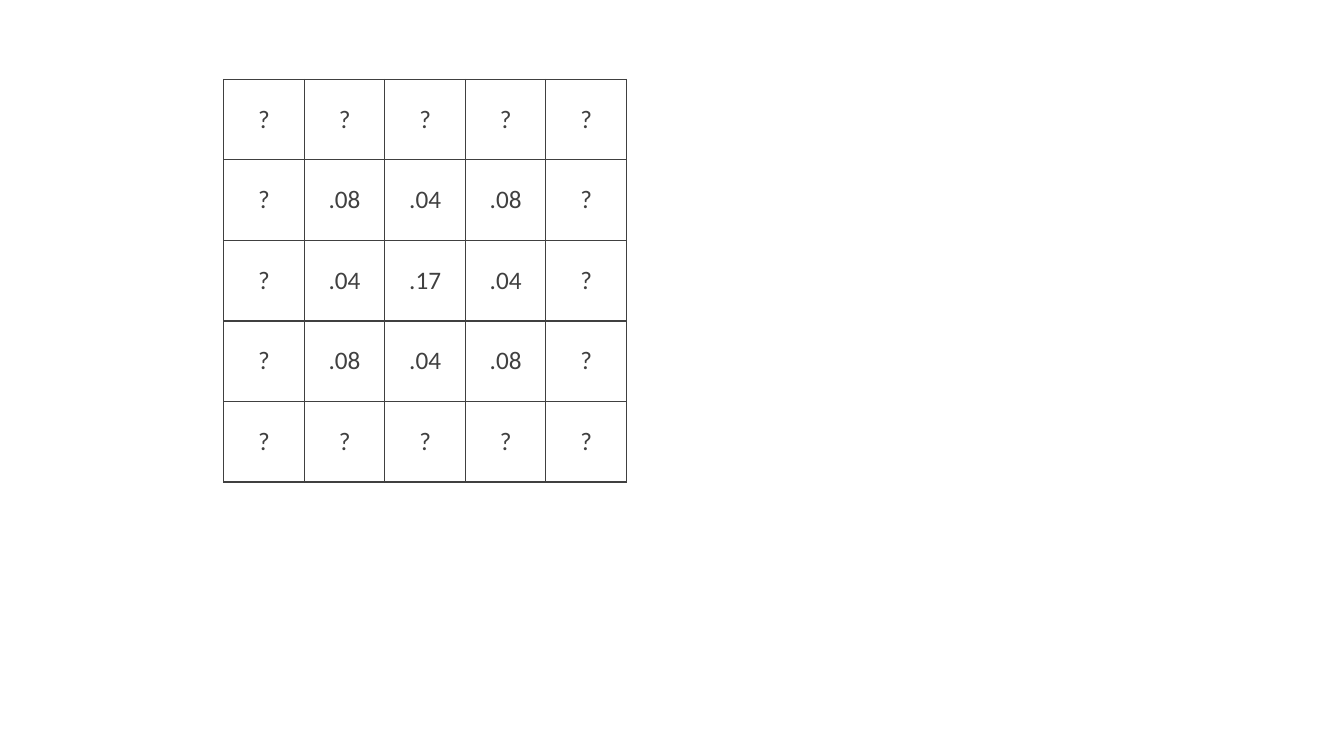
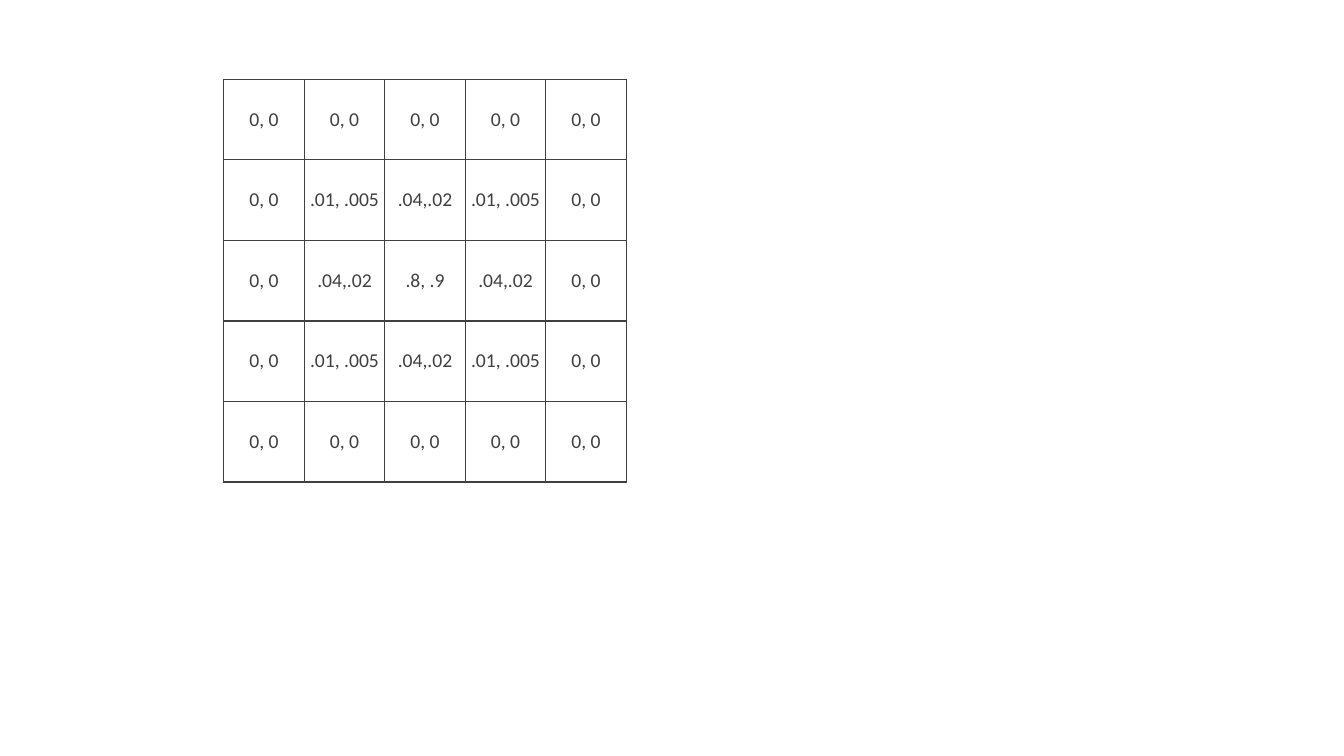
from dataclasses import dataclass

from lxml.etree import SubElement
from pptx import Presentation
from pptx.dml.color import RGBColor
from pptx.enum.text import MSO_ANCHOR as Anchor, PP_ALIGN as Align
from pptx.oxml.ns import qn
from pptx.util import Cm, Pt


@dataclass(frozen=True)
class Theme:
    font: str = "Calibri"
    ink: str = "404040"
    large: int = 18
    small: int = 14
    line: int = 1


THEME = Theme()

# Content: each grid with its type size and side margin
GRIDS = [
    {
        "size": THEME.large,
        "inset": (Cm(0.25), Cm(0.13)),
        "rows": [
            ["?", "?", "?", "?", "?"],
            ["?", ".08", ".04", ".08", "?"],
            ["?", ".04", ".17", ".04", "?"],
            ["?", ".08", ".04", ".08", "?"],
            ["?", "?", "?", "?", "?"],
        ],
    },
    {
        "size": THEME.small,
        "inset": (Cm(0), Cm(0)),
        "rows": [
            ["0, 0", "0, 0", "0, 0", "0, 0", "0, 0"],
            ["0, 0", ".01, .005", ".04,.02", ".01, .005", "0, 0"],
            ["0, 0", ".04,.02", ".8, .9", ".04,.02", "0, 0"],
            ["0, 0", ".01, .005", ".04,.02", ".01, .005", "0, 0"],
            ["0, 0", "0, 0", "0, 0", "0, 0", "0, 0"],
        ],
    },
]

# Geometry shared by both slides
WIDTH, HEIGHT = Cm(33.87), Cm(19.05)
LEFT, TOP, SIDE = Cm(5.64), Cm(2), Cm(2.03)


def border(cell):
    """Draw a thin line on all four sides of a cell."""
    props = cell._tc.get_or_add_tcPr()
    for edge in ("a:lnL", "a:lnR", "a:lnT", "a:lnB"):
        line = SubElement(props, qn(edge), w=str(Pt(THEME.line)))
        fill = SubElement(line, qn("a:solidFill"))
        SubElement(fill, qn("a:srgbClr"), val=THEME.ink)


def style(cell, text, size, inset):
    """Fill in one cell with centred text."""
    border(cell)
    cell.fill.background()
    cell.vertical_anchor = Anchor.MIDDLE
    cell.margin_left = cell.margin_right = inset[0]
    cell.margin_top = cell.margin_bottom = inset[1]
    cell.text = text
    para = cell.text_frame.paragraphs[0]
    para.alignment = Align.CENTER
    para.font.name = THEME.font
    para.font.size = Pt(size)
    para.font.color.rgb = RGBColor.from_string(THEME.ink)


def draw(slide, grid):
    """Place a table of square cells."""
    rows = grid["rows"]
    high, wide = len(rows), len(rows[0])
    frame = slide.shapes.add_table(
        high, wide, LEFT, TOP, SIDE * wide, SIDE * high)
    table = frame.table
    table.first_row = table.horz_banding = False
    for col in table.columns:
        col.width = SIDE
    for row, texts in zip(table.rows, rows):
        row.height = SIDE
        for cell, text in zip(row.cells, texts):
            style(cell, text, grid["size"], grid["inset"])


def main():
    deck = Presentation()
    deck.slide_width, deck.slide_height = WIDTH, HEIGHT
    blank = deck.slide_layouts[6]
    for grid in GRIDS:
        draw(deck.slides.add_slide(blank), grid)
    deck.save("out.pptx")


if __name__ == "__main__":
    main()
